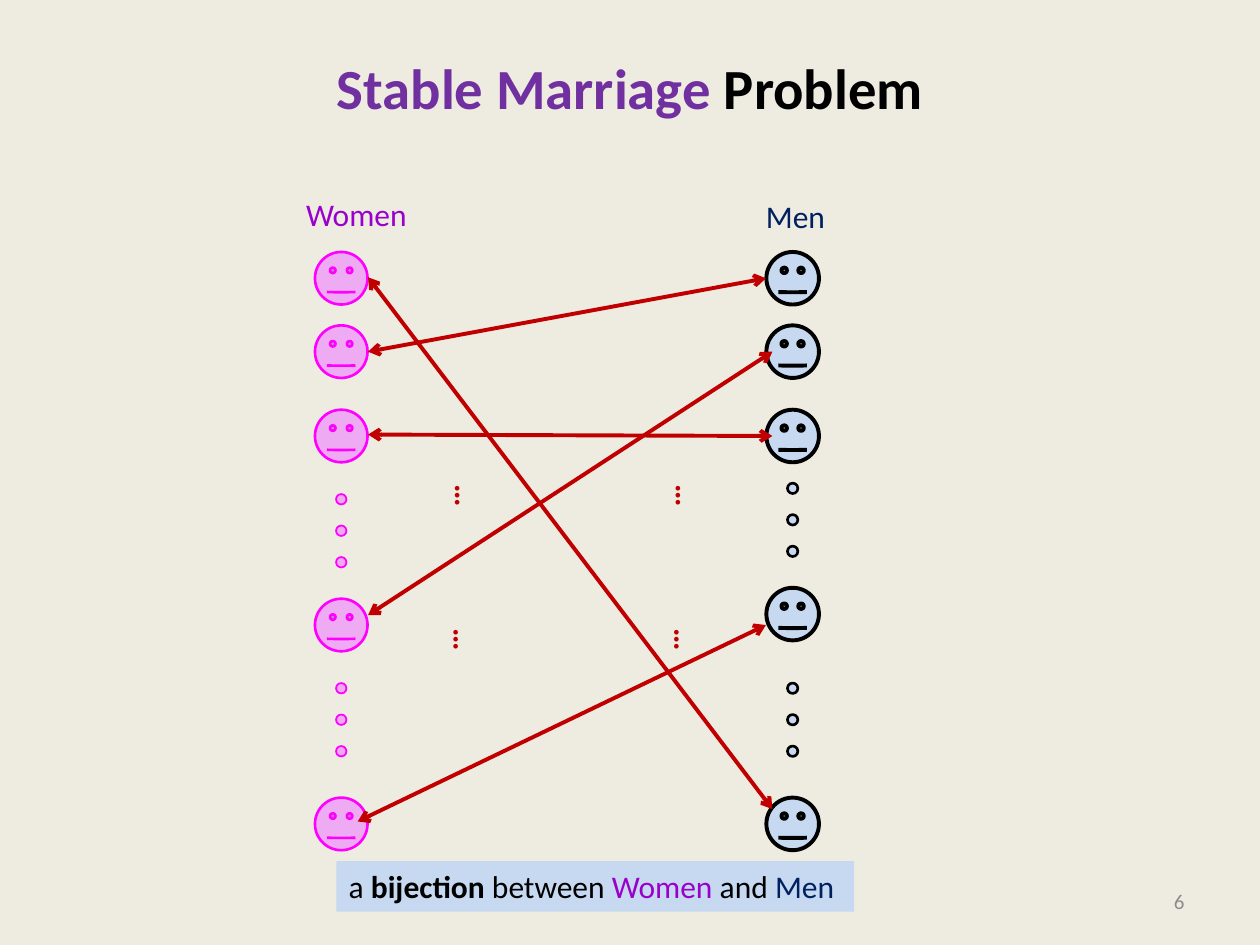
from dataclasses import dataclass

import pptx
import pptx.dml.color
import pptx.enum.shapes
import pptx.enum.text
import pptx.oxml
import pptx.oxml.ns
import pptx.util
from pptx.util import Cm

SHAPE = pptx.enum.shapes.MSO_SHAPE
ALIGN = pptx.enum.text.PP_ALIGN
ANCHOR = pptx.enum.text.MSO_ANCHOR


@dataclass(frozen=True)
class Theme:
    font: str = "Calibri"
    title_size: float = 32.4
    body_size: float = 18
    number_size: float = 12
    background: str = "EEECE1"
    text: str = "000000"
    title_accent: str = "7030A0"
    women: str = "9900CC"
    women_fill: str = "EFAAF4"
    women_line: str = "FF00FF"
    men: str = "002060"
    men_fill: str = "C6D9F1"
    men_line: str = "000000"
    match: str = "C00000"
    number: str = "8C8C8C"


THEME = Theme()


@dataclass(frozen=True)
class Box:
    """A region in centimetres."""
    left: float
    top: float
    width: float
    height: float

    def inner(self, dx, dy, width, height):
        return Box(self.left + dx, self.top + dy, width, height)

    def emu(self):
        return Cm(self.left), Cm(self.top), Cm(self.width), Cm(self.height)


def rgb(color):
    return pptx.dml.color.RGBColor.from_string(color)


def add_text(slide, box, runs, size=THEME.body_size, bold=None,
             align=ALIGN.LEFT, wrap=False):
    """Add one paragraph; each run is (text, colour) or (text, colour, bold)."""
    text_box = slide.shapes.add_textbox(*box.emu())
    frame = text_box.text_frame
    frame.word_wrap = wrap
    paragraph = frame.paragraphs[0]
    paragraph.alignment = align
    paragraph.font.name = THEME.font
    paragraph.font.size = pptx.util.Pt(size)
    paragraph.font.bold = bold
    for text, color, *run_bold in runs:
        run = paragraph.add_run()
        run.text = text
        run.font.color.rgb = rgb(color)
        if run_bold:
            run.font.bold = run_bold[0]
    return text_box


def add_title(slide, box):
    title = add_text(slide, box,
                     [("Stable Marriage ", THEME.title_accent), ("Problem", THEME.text)],
                     THEME.title_size, True, ALIGN.CENTER, wrap=True)
    title.text_frame.margin_top = Cm(0.3)


def add_page_number(slide, box):
    number = add_text(slide, box, [("6", THEME.number)], THEME.number_size,
                      align=ALIGN.RIGHT, wrap=True)
    number.text_frame.vertical_anchor = ANCHOR.MIDDLE


def add_people(slide, box, face_tops, dot_tops, fill, line, face_weight, dot_weight):
    """Place a column of faces, with three dots starting at each dot top."""
    people = slide.shapes.add_group_shape()
    dot_size, dot_pitch = 0.21, 0.635

    def add_round(kind, dx, dy, size, weight):
        figure = people.shapes.add_shape(kind, *box.inner(dx, dy, size, size).emu())
        figure.shadow.inherit = False
        figure.fill.solid()
        figure.fill.fore_color.rgb = rgb(fill)
        figure.line.color.rgb = rgb(line)
        figure.line.width = pptx.util.Pt(weight)
        return figure

    for top in face_tops:
        face = add_round(SHAPE.SMILEY_FACE, 0, top, box.width, face_weight)
        face.adjustments[0] = 0.002
    for top in dot_tops:
        for step in range(3):
            add_round(SHAPE.OVAL, (box.width - dot_size) / 2, top + step * dot_pitch,
                      dot_size, dot_weight)


def add_match(slide, start, end):
    """Draw a double-headed arrow between two points in centimetres."""
    arrow = slide.shapes.add_connector(pptx.enum.shapes.MSO_CONNECTOR.STRAIGHT,
                                       *(Cm(value) for value in (*start, *end)))
    arrow.line.color.rgb = rgb(THEME.match)
    arrow.line.width = pptx.util.Pt(2.25)
    line = arrow.line._get_or_add_ln()
    for end_name in ("headEnd", "tailEnd"):
        line.append(pptx.oxml.parse_xml(
            f'<a:{end_name} {pptx.oxml.ns.nsdecls("a")} type="arrow"/>'))
    arrow._element.spPr.append(
        pptx.oxml.parse_xml(f'<a:effectLst {pptx.oxml.ns.nsdecls("a")}/>'))


def add_matching(slide, box):
    """Draw the pairs across the box and the ellipses standing for the others."""
    pairs = [
        ((1.07, 3.68), (9.22, 3.71)),
        ((1.07, 7.32), (9.22, 2.01)),
        ((0.86, 11.48), (9.09, 7.52)),
        ((1.07, 2.01), (9.09, 0.53)),
        ((1.07, 0.51), (9.22, 11.23)),
    ]
    for pair in pairs:
        add_match(slide, *((box.left + x, box.top + y) for x, y in pair))
    for dx in (2.59, 7.04):
        for shift, dy in ((0, 4.42), (-0.03, 7.32)):
            more = add_text(slide, box.inner(dx + shift, dy, 0.97, 1.02),
                            [("…", THEME.match)], bold=True)
            more.rotation = 90


def add_caption(slide, box):
    caption = add_text(slide, box, [
        ("a ", THEME.text), ("bijection", THEME.text, True), (" between ", THEME.text),
        ("Women ", THEME.women), ("and ", THEME.text), ("Men", THEME.men),
    ], wrap=True)
    caption.fill.solid()
    caption.fill.fore_color.rgb = rgb(THEME.men_fill)


def main():
    presentation = pptx.Presentation()
    presentation.slide_width, presentation.slide_height = Cm(25.4), Cm(19.05)
    slide = presentation.slides.add_slide(presentation.slide_layouts[6])
    slide.background.fill.solid()
    slide.background.fill.fore_color.rgb = rgb(THEME.background)

    diagram = Box(6.35, 5.08, 10.16, 12.06)
    face_size = 1.06
    add_title(slide, Box(1.27, 0.76, 22.86, 3.18))
    add_page_number(slide, Box(18.2, 17.65, 5.93, 1.02))
    add_text(slide, diagram.inner(-0.43, -1.27, 2.59, 1.02), [("Women", THEME.women)])
    add_text(slide, diagram.inner(8.84, -1.24, 1.73, 1.02), [("Men", THEME.men)])
    add_people(slide, diagram.inner(0, 0, face_size, diagram.height),
               (0, 1.48, 3.18, 6.99, 11), (4.88, 8.69),
               THEME.women_fill, THEME.women_line, 1.5, 1)
    add_people(slide, diagram.inner(diagram.width - face_size, 0, face_size, diagram.height),
               (0, 1.48, 3.18, 6.77, 11), (4.66, 8.69),
               THEME.men_fill, THEME.men_line, 2.25, 1.5)
    add_matching(slide, diagram)
    add_caption(slide, Box(6.78, 17.36, 10.44, 1.02))
    presentation.save("out.pptx")


if __name__ == "__main__":
    main()
